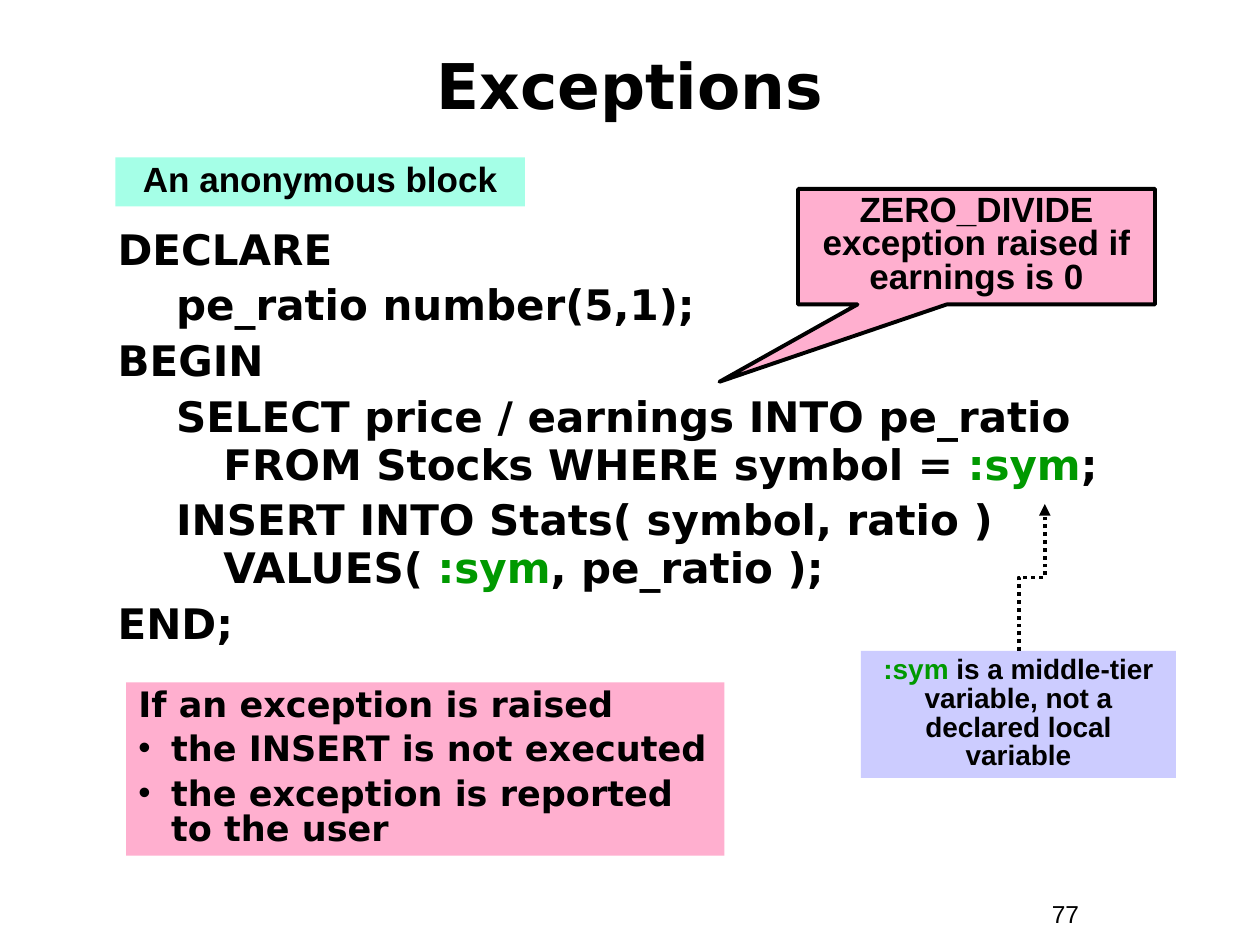
from lxml import etree
from pptx import Presentation
from pptx import util as u
from pptx.dml.color import RGBColor
from pptx.enum import dml, shapes, text
from pptx.oxml.ns import qn

Pt = u.Pt
SANS, ARIAL = "DejaVu Sans", "Arial"
BLACK, GREEN, PINK, LILAC, MINT = "000000", "009900", "FFAFCF", "CCCCFF", "A5FFE7"
VARIABLE = ":sym"
CENTER = text.PP_ALIGN.CENTER
GROW = text.MSO_AUTO_SIZE.SHAPE_TO_FIT_TEXT


def color(value):
    return RGBColor.from_string(value)


def apply(target, values):
    for name, value in values.items():
        setattr(target, name, value)


def place(sp, box):
    apply(sp, dict(zip(("left", "top", "width", "height"), map(Pt, box))))


def add_run(p, content, font, fill):
    """Add text to a paragraph, turning newlines into line breaks."""
    for i, line in enumerate(content.split("\n")):
        if i:
            p.add_line_break()
        if line:
            r = p.add_run()
            r.text = line
            apply(r.font, font)
            r.font.color.rgb = color(fill)


def set_bullet(p, char, indent):
    """Set a hanging indent, and a bullet if a character is given."""
    pPr = p._p.get_or_add_pPr()
    pPr.set("marL", str(Pt(indent)))
    pPr.set("indent", str(-Pt(indent)))
    if not char:
        etree.SubElement(pPr, qn("a:buNone"))
        return
    clr = etree.SubElement(pPr, qn("a:buClr"))
    etree.SubElement(clr, qn("a:srgbClr")).set("val", BLACK)
    etree.SubElement(pPr, qn("a:buFont")).set("typeface", ARIAL)
    etree.SubElement(pPr, qn("a:buChar")).set("char", char)


def write(sp, lines, size, name=ARIAL, bold=True, align=None, spacing=None,
          before=0, indent=0, bullets=(), grow=text.MSO_AUTO_SIZE.NONE,
          anchor=text.MSO_ANCHOR.TOP):
    tf = sp.text_frame
    apply(tf, {"word_wrap": True, "auto_size": grow, "vertical_anchor": anchor})
    font = {"name": name, "size": Pt(size), "bold": bold}
    for i, line in enumerate(lines):
        p = tf.add_paragraph() if i else tf.paragraphs[0]
        apply(p, {"alignment": align, "line_spacing": spacing,
                  "space_before": Pt(before if i else 0)})
        set_bullet(p, "•" if i in bullets else None, indent)
        # The bind variable stands out in green
        head, variable, tail = line.partition(VARIABLE)
        for part, fill in ((head, BLACK), (variable, GREEN), (tail, BLACK)):
            add_run(p, part, font, fill)


def add_panel(s, box, fill, lines, size, kind=shapes.MSO_SHAPE.RECTANGLE, **style):
    sp = s.shapes.add_shape(kind, *map(Pt, box))
    sp.shadow.inherit = False
    sp.fill.solid()
    sp.fill.fore_color.rgb = color(fill)
    sp.line.fill.background()
    write(sp, lines, size, **style)
    return sp


def add_title(s, box):
    place(s.shapes.title, box)
    write(s.shapes.title, ["Exceptions"], 36, SANS, align=CENTER,
          anchor=text.MSO_ANCHOR.MIDDLE)


def add_code(s, box):
    body = s.placeholders[1]
    place(body, box)
    write(body, [
        "DECLARE",
        "    pe_ratio number(5,1);",
        "BEGIN",
        "    SELECT price / earnings INTO pe_ratio\n"
        "    FROM Stocks WHERE symbol = :sym;",
        "    INSERT INTO Stats( symbol, ratio )\n"
        "    VALUES( :sym, pe_ratio );",
        "END;",
    ], 24, SANS, spacing=0.95, before=4.5, indent=27)


def add_callout(s, box):
    sp = add_panel(s, box, PINK, ["ZERO_DIVIDE exception raised if earnings is 0"], 20,
                   shapes.MSO_SHAPE.RECTANGULAR_CALLOUT, align=CENTER, spacing=0.8)
    sp.adjustments[0], sp.adjustments[1] = -0.72, 1.17
    sp.line.color.rgb = color(BLACK)
    sp.line.width = Pt(2.25)


def add_variable_note(s, box):
    add_panel(s, box, LILAC,
              [":sym is a middle-tier variable, not a declared local variable"],
              16, align=CENTER, spacing=0.85, grow=GROW)


def add_outcome(s, box):
    add_panel(s, box, PINK, [
        "If an exception is raised",
        "the INSERT is not executed",
        "the exception is reported to the user",
    ], 20, name=SANS, align=text.PP_ALIGN.LEFT, spacing=0.85, before=5,
        indent=18.75, bullets=(1, 2), grow=GROW)


def add_block_label(s, box):
    add_panel(s, box, MINT, ["An anonymous block"], 20, align=CENTER,
              spacing=0.85, grow=GROW)


def add_rising_arrow(s, x1, y1, x2, y2):
    """Dotted elbow that leaves vertically: a sideways elbow turned 90 degrees."""
    cx, cy = (x1 + x2) / 2, (y1 + y2) / 2
    run, rise = (y1 - y2) / 2, (x2 - x1) / 2
    line = s.shapes.add_connector(shapes.MSO_CONNECTOR.ELBOW, Pt(cx + run),
                                  Pt(cy + rise), Pt(cx - run), Pt(cy - rise))
    spPr = line._element.spPr
    spPr.find(qn("a:xfrm")).set("rot", "5400000")
    line.line.color.rgb = color(BLACK)
    apply(line.line, {"width": Pt(2.25), "dash_style": dml.MSO_LINE.ROUND_DOT})
    etree.SubElement(spPr.find(qn("a:ln")), qn("a:tailEnd")).set("type", "triangle")
    etree.SubElement(spPr, qn("a:effectLst"))


def add_page_number(s, box):
    write(s.shapes.add_textbox(*map(Pt, box)), ["77"], 14, bold=False, grow=GROW)


def main():
    prs = Presentation()
    prs.slide_width, prs.slide_height = Pt(720), Pt(540)
    s = prs.slides.add_slide(prs.slide_layouts[1])
    add_page_number(s, (594, 510, 66, 24.5))
    add_title(s, (24, 24, 672, 48))
    add_code(s, (60, 126, 600, 330))
    add_callout(s, (456, 108, 204, 66))
    add_variable_note(s, (492, 372, 180, 72.5))
    add_outcome(s, (72, 390, 342, 99))
    add_block_label(s, (66, 90, 234, 28))
    add_rising_arrow(s, 582, 372, 597, 288)
    prs.save("out.pptx")


if __name__ == "__main__":
    main()
